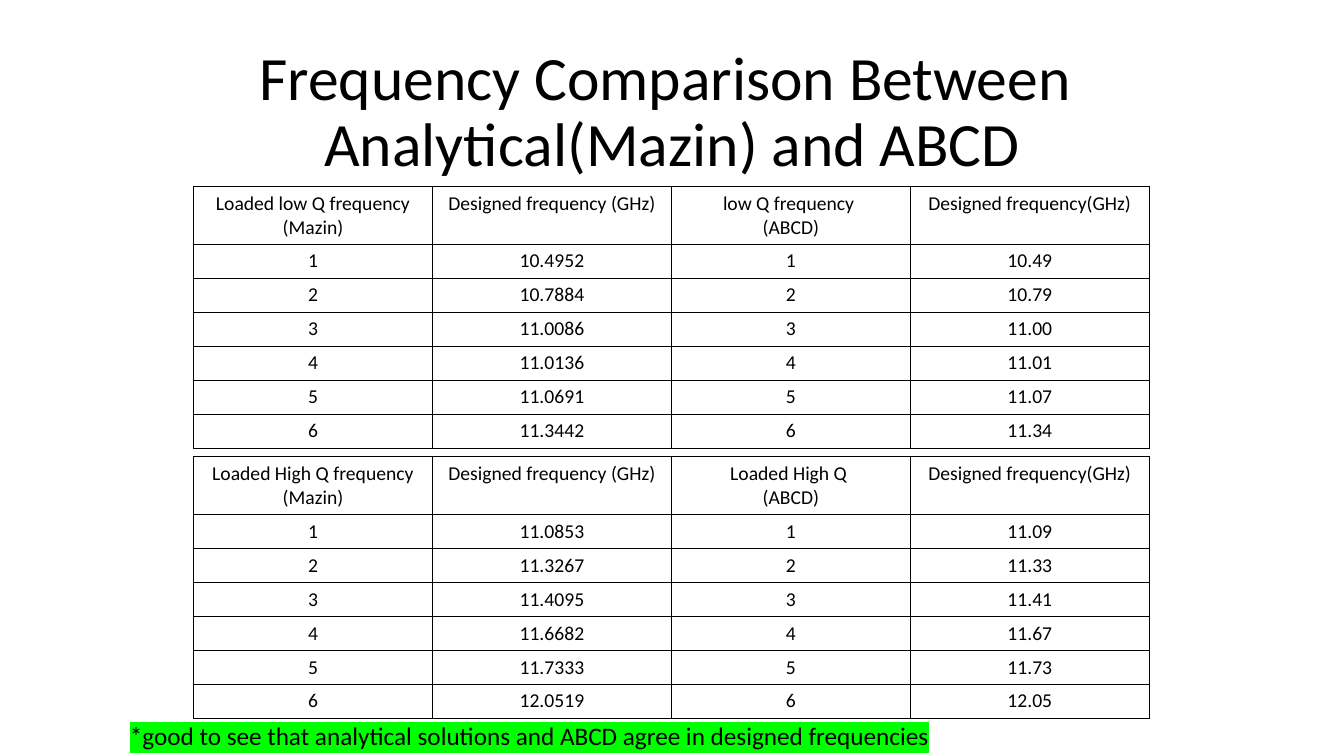
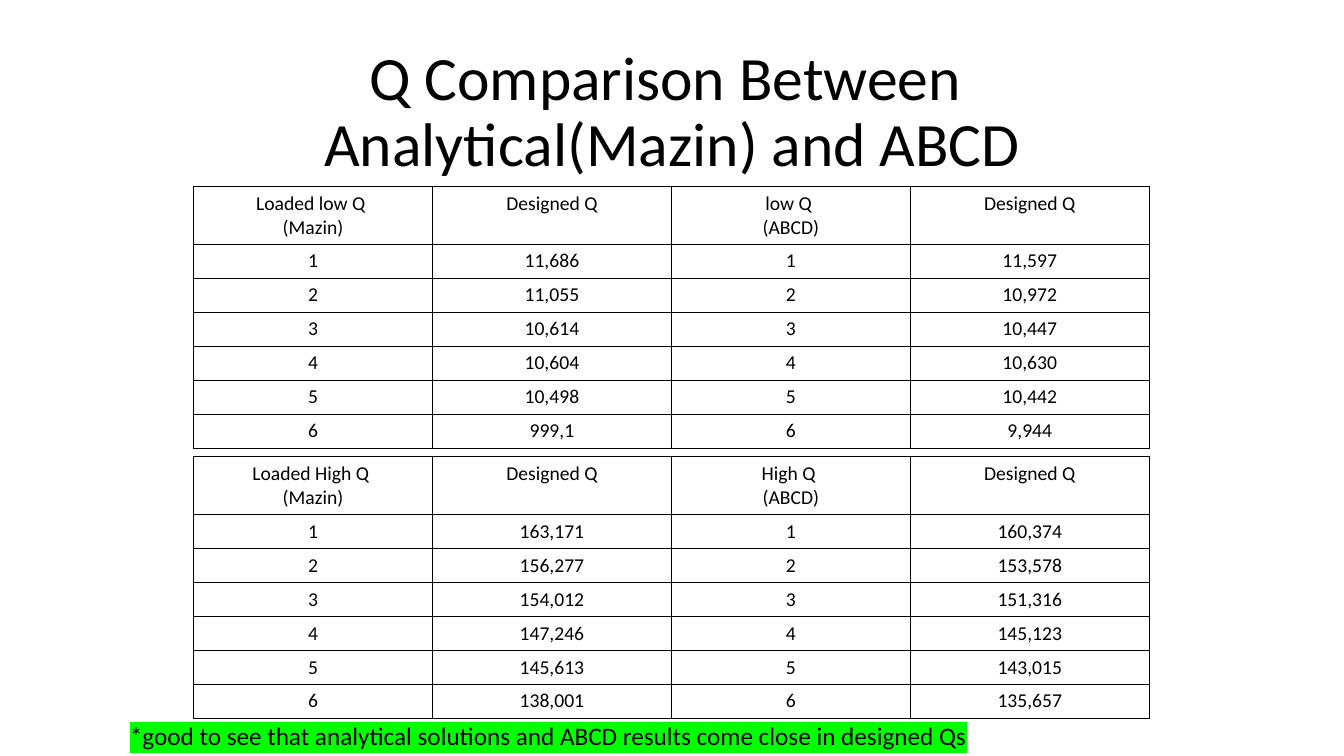
from dataclasses import dataclass

from lxml.etree import SubElement
from pptx import Presentation
from pptx.dml.color import RGBColor
from pptx.enum.text import MSO_ANCHOR as Anchor, MSO_AUTO_SIZE as AutoSize, PP_ALIGN as Align
from pptx.oxml import parse_xml
from pptx.oxml.ns import nsdecls, qn
from pptx.util import Inches, Pt

PAGE_WIDTH, PAGE_HEIGHT = 13.33, 7.5
FONT = "Calibri"
INK, PAPER, MARKER = "000000", "FFFFFF", "00FF00"

TITLE_BOX = (0.92, 0.4, 11.5, 1.45)
NOTE_BOX = (1.19, 7.1, 10.94, 0.4)
TABLE_LEFT, COLUMN_WIDTH = 1.92, 2.37
HEADER_HEIGHT, ROW_HEIGHT = 0.57, 0.33
TABLE_TOPS = (1.85, 4.53)
TITLE_ONLY = 5


@dataclass(frozen=True)
class Comparison:
    headers: tuple[str, str, str, str]
    analytical: tuple[str, ...]
    abcd: tuple[str, ...]

    def rows(self) -> list[tuple[str, ...]]:
        """Header row, then one numbered row for each pair of values."""
        pairs = zip(self.analytical, self.abcd)
        return [self.headers] + [
            (str(number), left, str(number), right)
            for number, (left, right) in enumerate(pairs, start=1)
        ]


@dataclass(frozen=True)
class Page:
    quantity: str
    comparisons: tuple[Comparison, Comparison]
    note: str


FREQUENCY_HEADERS = ("Designed frequency (GHz)", "Designed frequency(GHz)")

PAGES = (
    Page(
        "Frequency",
        (
            Comparison(
                ("Loaded low Q frequency (Mazin)", FREQUENCY_HEADERS[0],
                 "low Q frequency \n(ABCD)", FREQUENCY_HEADERS[1]),
                ("10.4952", "10.7884", "11.0086", "11.0136", "11.0691", "11.3442"),
                ("10.49", "10.79", "11.00", "11.01", "11.07", "11.34"),
            ),
            Comparison(
                ("Loaded High Q frequency (Mazin)", FREQUENCY_HEADERS[0],
                 "Loaded High Q \n(ABCD)", FREQUENCY_HEADERS[1]),
                ("11.0853", "11.3267", "11.4095", "11.6682", "11.7333", "12.0519"),
                ("11.09", "11.33", "11.41", "11.67", "11.73", "12.05"),
            ),
        ),
        "*good to see that analytical solutions and ABCD agree in designed frequencies",
    ),
    Page(
        "Q",
        (
            Comparison(
                ("Loaded low Q \n(Mazin)", "Designed Q", "low Q \n(ABCD)", "Designed Q"),
                ("11,686", "11,055", "10,614", "10,604", "10,498", "999,1"),
                ("11,597", "10,972", "10,447", "10,630", "10,442", "9,944"),
            ),
            Comparison(
                ("Loaded High Q \n(Mazin)", "Designed Q", "High Q \n(ABCD)", "Designed Q"),
                ("163,171", "156,277", "154,012", "147,246", "145,613", "138,001"),
                ("160,374", "153,578", "151,316", "145,123", "143,015", "135,657"),
            ),
        ),
        "*good to see that analytical solutions and ABCD results come close in designed Qs",
    ),
)


def color(value: str) -> RGBColor:
    return RGBColor.from_string(value)


def write_text(frame, text: str, *, size: float, align=Align.LEFT,
               line_spacing: float = 1.0, highlight: str | None = None) -> None:
    """Fill a frame: a newline starts a paragraph, a vertical tab breaks a line."""
    for index, line in enumerate(text.split("\n")):
        para = frame.add_paragraph() if index else frame.paragraphs[0]
        para.text = line
        para.alignment = align
        para.line_spacing = line_spacing
        for span in para.runs:
            span.font.size = Pt(size)
            span.font.color.rgb = color(INK)
            if highlight:
                marker = SubElement(span.font._element, qn("a:highlight"))
                SubElement(marker, qn("a:srgbClr"), val=highlight)
            span.font.name = FONT


def add_borders(cell, line_color: str, width: float) -> None:
    properties = cell._tc.get_or_add_tcPr()
    for position, side in enumerate("LRTB"):
        properties.insert(position, parse_xml(
            f'<a:ln{side} {nsdecls("a")} w="{Pt(width)}"><a:solidFill>'
            f'<a:srgbClr val="{line_color}"/></a:solidFill></a:ln{side}>'))


def add_title(slide, text: str) -> None:
    title = slide.shapes.title
    title.left, title.top, title.width, title.height = map(Inches, TITLE_BOX)
    frame = title.text_frame
    frame.auto_size = AutoSize.NONE
    frame.vertical_anchor = Anchor.MIDDLE
    write_text(frame, text, size=44, align=Align.CENTER, line_spacing=0.9)


def add_comparison(slide, comparison: Comparison, top: float) -> None:
    rows = comparison.rows()
    columns = len(comparison.headers)
    height = HEADER_HEIGHT + ROW_HEIGHT * (len(rows) - 1)
    table = slide.shapes.add_table(
        len(rows), columns, Inches(TABLE_LEFT), Inches(top),
        Inches(COLUMN_WIDTH * columns), Inches(height)).table
    table.first_row = table.horz_banding = False
    for row_index, values in enumerate(rows):
        table.rows[row_index].height = Inches(ROW_HEIGHT if row_index else HEADER_HEIGHT)
        for column_index, value in enumerate(values):
            cell = table.cell(row_index, column_index)
            cell.fill.solid()
            cell.fill.fore_color.rgb = color(PAPER)
            add_borders(cell, INK, 1)
            write_text(cell.text_frame, value, size=14, align=Align.CENTER)


def add_note(slide, text: str) -> None:
    frame = slide.shapes.add_textbox(*map(Inches, NOTE_BOX)).text_frame
    frame.word_wrap = True
    frame.auto_size = AutoSize.SHAPE_TO_FIT_TEXT
    write_text(frame, text, size=18, highlight=MARKER)


def main() -> None:
    deck = Presentation()
    deck.slide_width, deck.slide_height = Inches(PAGE_WIDTH), Inches(PAGE_HEIGHT)
    for page in PAGES:
        slide = deck.slides.add_slide(deck.slide_layouts[TITLE_ONLY])
        add_title(slide, f"{page.quantity} Comparison Between \vAnalytical(Mazin) and ABCD")
        for comparison, top in zip(page.comparisons, TABLE_TOPS):
            add_comparison(slide, comparison, top)
        add_note(slide, page.note)
    deck.save("out.pptx")


if __name__ == "__main__":
    main()
